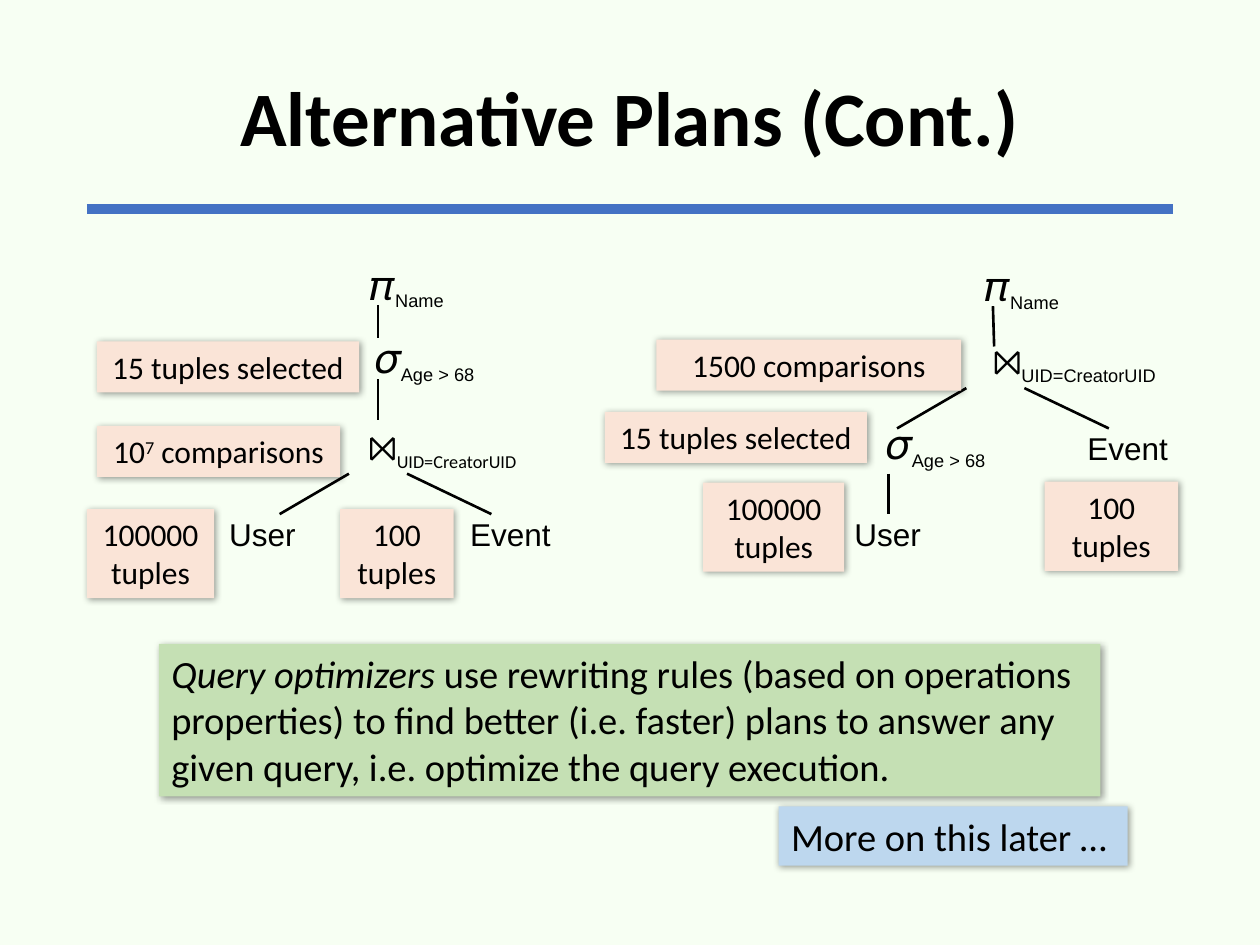
from dataclasses import dataclass

from lxml.etree import SubElement
from pptx import Presentation
from pptx.dml.color import RGBColor
from pptx.enum.shapes import MSO_CONNECTOR, MSO_SHAPE
from pptx.enum.text import MSO_ANCHOR, MSO_AUTO_SIZE, PP_ALIGN
from pptx.oxml.ns import qn
from pptx.util import Pt


@dataclass(frozen=True)
class Theme:
    """Colours, fonts and type sizes of the slide."""
    paper: str = "F7FFF3"
    ink: str = "000000"
    rule: str = "4472C4"
    cost: str = "FAE4D7"
    summary: str = "C5E0B4"
    teaser: str = "BDD7EE"
    text_font: str = "Calibri"
    tree_font: str = "Arial"
    title_size: int = 44
    summary_size: int = 22
    label_size: int = 18
    greek_size: int = 24
    join_size: int = 20


THEME = Theme()


def colour(code):
    """Return the colour for a hex code."""
    return RGBColor.from_string(code)


def style(paragraph, font_name, size, align):
    """Set the font and alignment of a paragraph."""
    paragraph.alignment = align
    paragraph.font.name = font_name
    paragraph.font.size = Pt(size)
    paragraph.font.color.rgb = colour(THEME.ink)


def add_run(paragraph, text, baseline=0):
    """Append a run, raised or lowered by a percentage."""
    run = paragraph.add_run()
    run.text = text
    if baseline:
        run.font._rPr.set("baseline", str(baseline * 1000))
    return run


def add_line(slide, start, end, code, weight):
    """Draw a straight line without a shadow."""
    line = slide.shapes.add_connector(
        MSO_CONNECTOR.STRAIGHT, *(Pt(value) for value in (*start, *end)))
    line.line.color.rgb = colour(code)
    line.line.width = Pt(weight)
    SubElement(line._element.spPr, qn("a:effectLst"))


def add_card(slide, box, fill):
    """Draw a filled card with a soft shadow and return its text frame."""
    card = slide.shapes.add_shape(MSO_SHAPE.RECTANGLE, *(Pt(value) for value in box))
    card.fill.solid()
    card.fill.fore_color.rgb = colour(fill)
    card.line.fill.background()
    card.shadow.inherit = False
    effects = card._element.spPr.find(qn("a:effectLst"))
    shadow = SubElement(effects, qn("a:outerShdw"), blurRad="50800",
                        dist="12700", dir="2700000", algn="tl", rotWithShape="0")
    black = SubElement(shadow, qn("a:srgbClr"), val=THEME.ink)
    SubElement(black, qn("a:alpha"), val="40000")
    frame = card.text_frame
    frame.word_wrap = True
    frame.vertical_anchor = MSO_ANCHOR.TOP
    return frame


def add_cost(slide, box, lines):
    """Place a cost card; each line is a list of (text, baseline) parts."""
    frame = add_card(slide, box, THEME.cost)
    for index, parts in enumerate(lines):
        paragraph = frame.add_paragraph() if index else frame.paragraphs[0]
        style(paragraph, THEME.text_font, THEME.label_size, PP_ALIGN.CENTER)
        for text, baseline in parts:
            add_run(paragraph, text, baseline)


def add_tree_text(slide, left, middle, width, font_name, align):
    """Place an unpadded text box centred on a height and return its paragraph."""
    height = 32
    frame = slide.shapes.add_textbox(
        Pt(left), Pt(middle - height / 2), Pt(width), Pt(height)).text_frame
    frame.margin_left = frame.margin_right = 0
    frame.margin_top = frame.margin_bottom = 0
    frame.word_wrap = True
    frame.vertical_anchor = MSO_ANCHOR.MIDDLE
    paragraph = frame.paragraphs[0]
    style(paragraph, font_name, THEME.label_size, align)
    return paragraph


def add_operator(slide, left, middle, symbol, subscript, font_name):
    """Place an algebra operator with its subscript."""
    paragraph = add_tree_text(slide, left, middle, 110, font_name, PP_ALIGN.LEFT)
    size = THEME.join_size if symbol == "⨝" else THEME.greek_size
    add_run(paragraph, symbol).font.size = Pt(size)
    add_run(paragraph, subscript, -25)


def add_relation(slide, centre, middle, name):
    """Place a relation name at a leaf of the tree."""
    width = 60
    paragraph = add_tree_text(slide, centre - width / 2, middle, width,
                              THEME.tree_font, PP_ALIGN.CENTER)
    add_run(paragraph, name)


def add_plan(slide, origin, plan):
    """Place a query plan tree and its costs relative to its origin."""
    x, y = origin
    for start, end in plan["branches"]:
        add_line(slide, (x + start[0], y + start[1]), (x + end[0], y + end[1]),
                 THEME.ink, 1.5)
    for left, middle, symbol, subscript, font_name in plan["operators"]:
        add_operator(slide, x + left, y + middle, symbol, subscript, font_name)
    for centre, middle, name in plan["relations"]:
        add_relation(slide, x + centre, y + middle, name)
    for (left, top, width, height), lines in plan["costs"]:
        add_cost(slide, (x + left, y + top, width, height), lines)


def add_heading(slide, box):
    """Format the title placeholder and draw the rule below it."""
    left, top, width, height = box
    title = slide.shapes.title
    title.left, title.top, title.width, title.height = (Pt(value) for value in box)
    frame = title.text_frame
    frame.text = "Alternative Plans (Cont.)"
    frame.auto_size = MSO_AUTO_SIZE.NONE
    frame.vertical_anchor = MSO_ANCHOR.MIDDLE
    paragraph = frame.paragraphs[0]
    style(paragraph, THEME.text_font, THEME.title_size, PP_ALIGN.CENTER)
    paragraph.font.bold = True
    paragraph.line_spacing = 0.9
    rule_y = top + height - 2.3
    add_line(slide, (left, rule_y), (left + width, rule_y), THEME.rule, 6)


def add_remark(slide, box, fill, text, term=""):
    """Place a remark card, opened by an italic term if there is one."""
    paragraph = add_card(slide, box, fill).paragraphs[0]
    style(paragraph, THEME.text_font, THEME.summary_size, PP_ALIGN.LEFT)
    if term:
        add_run(paragraph, term).font.italic = True
    add_run(paragraph, text)


SELECTED = [[("15 tuples selected", 0)]]
USER_SIZE = [[("100000", 0)], [("tuples", 0)]]
EVENT_SIZE = [[("100", 0)], [("tuples", 0)]]

JOIN_FIRST = {
    "operators": [(163.5, 12.7, "𝜋", "Name", THEME.tree_font),
                  (166.5, 54.8, "𝜎", "Age > 68", THEME.tree_font),
                  (162.5, 106.3, "⨝", "UID=CreatorUID", THEME.text_font)],
    "relations": [(102, 155, "User"), (243.6, 155, "Event")],
    "branches": [((168, 24.2), (168, 43)), ((168, 66.7), (168, 89.8)),
                 ((151.4, 120.7), (111.8, 143.8)), ((184.6, 120.7), (232.8, 143.8))],
    "costs": [((7.4, 45.1, 149.8, 29.1), SELECTED),
              ((7.4, 93.4, 139, 29.1), [[("10", 0), ("7", 30), (" comparisons", 0)]]),
              ((1.7, 140.9, 72.7, 50.9), USER_SIZE),
              ((146.4, 140.9, 64.8, 50.9), EVENT_SIZE)],
}

SELECT_FIRST = {
    "operators": [(218, 13.4, "𝜋", "Name", THEME.tree_font),
                  (222.5, 57.4, "⨝", "UID=CreatorUID", THEME.tree_font),
                  (161.5, 103.8, "𝜎", "Age > 68", THEME.tree_font)],
    "relations": [(162.2, 155, "User"), (299.4, 106, "Event")],
    "branches": [((222.4, 25), (223.1, 48)), ((207.2, 71.8), (167.6, 94.8)),
                 ((240.4, 71.8), (288.6, 94.8)), ((162.6, 120.7), (162.6, 143.8))],
    "costs": [((30.1, 44.1, 174.2, 29.1), [[("1500 comparisons", 0)]]),
              ((0.6, 85.4, 149.8, 29.1), SELECTED),
              ((56.8, 125.8, 80.6, 50.9), USER_SIZE),
              ((251.9, 125.3, 76.3, 50.9), EVENT_SIZE)],
}


def main():
    """Build the slide and save it."""
    deck = Presentation()
    deck.slide_width, deck.slide_height = Pt(720), Pt(540)
    slide = deck.slides.add_slide(deck.slide_layouts.get_by_name("Title Only"))
    slide.background.fill.solid()
    slide.background.fill.fore_color.rgb = colour(THEME.paper)
    add_heading(slide, (49.7, 17.3, 620.6, 104.4))
    add_plan(slide, (48, 150), JOIN_FIRST)
    add_plan(slide, (345, 150), SELECT_FIRST)
    add_remark(slide, (90.8, 368, 538, 87.2), THEME.summary,
               " use rewriting rules (based on operations properties) to find better "
               "(i.e. faster) plans to answer any given query, i.e. optimize the query "
               "execution.", "Query optimizers")
    add_remark(slide, (445, 460.8, 199.4, 33.9), THEME.teaser, "More on this later …")
    deck.save("out.pptx")


if __name__ == "__main__":
    main()
